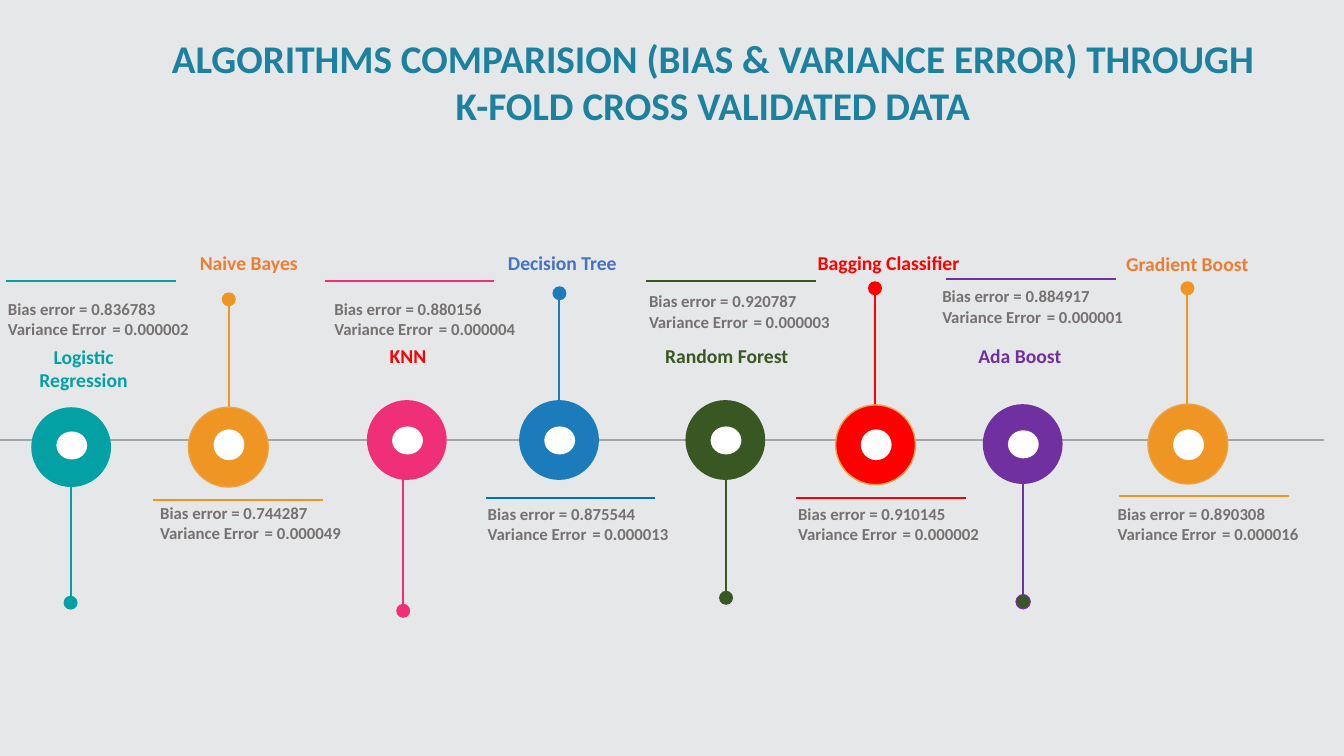
from collections import namedtuple
from itertools import pairwise

from lxml.etree import SubElement
from pptx import Presentation
from pptx.dml.color import RGBColor
from pptx.enum.shapes import MSO_CONNECTOR, MSO_SHAPE
from pptx.enum.text import MSO_AUTO_SIZE, PP_ALIGN
from pptx.oxml.ns import qn
from pptx.util import Pt

BACKGROUND = RGBColor(0xE6, 0xE7, 0xE9)
TITLE = RGBColor(0x1C, 0x81, 0x9E)
AXIS = RGBColor(0xA6, 0xA6, 0xA6)
NOTE = RGBColor(0x76, 0x71, 0x71)
WHITE = RGBColor(0xFF, 0xFF, 0xFF)
TEAL = RGBColor(0x03, 0xA1, 0xA4)
AMBER = RGBColor(0xEE, 0x95, 0x24)
AMBER_EDGE = RGBColor(0xED, 0xA2, 0x44)
ORANGE = RGBColor(0xED, 0x7D, 0x31)
PINK = RGBColor(0xEF, 0x30, 0x78)
RED = RGBColor(0xFF, 0x00, 0x00)
BLUE = RGBColor(0x1C, 0x7C, 0xBB)
LABEL_BLUE = RGBColor(0x44, 0x72, 0xC4)
BAR_BLUE = RGBColor(0x00, 0x70, 0xC0)
GREEN = RGBColor(0x38, 0x57, 0x23)
PURPLE = RGBColor(0x70, 0x30, 0xA0)

AXIS_Y = 314.6
AXIS_STOPS = (0, 120, 296, 471.6, 647.5, 824.4, 945.4)
RING, DOT, HOLE_WIDTH, HOLE_INSET = 57, 10, 22, 18
BAR_WIDTH = 121.2
LONG, SHORT = 101.5, 81.4

Algorithm = namedtuple(
    "Algorithm",
    "name bias variance color label_color bar_color ring_edge dot_color dot_edge "
    "stem_x stem_start stem_end dot_top ring hole_top hole_height label bar note",
)


def algorithm(name, bias, variance, color, stem, dot_top, ring, hole, label, bar, note,
              label_color=None, bar_color=None, ring_edge=None, dot_color=None, dot_edge=None):
    """Describe one algorithm, taking its main colour wherever no other is given."""
    return Algorithm(name, bias, variance, color, label_color or color, bar_color or color,
                     ring_edge, dot_color or color, dot_edge, *stem, dot_top, ring, *hole,
                     label, bar, note)


ALGORITHMS = (
    algorithm("Logistic Regression", "0.836783", "0.000002", TEAL,
              (50.4, 427.7, 427.7 - SHORT), 425.5, (22.3, 290.9), (308.2, 20),
              (0.7, 242.6, 118, 41), (4.3, 200.9), (-1.4, 209.5, 149)),
    algorithm("Naive Bayes", "0.744287", "0.000049", AMBER,
              (163.4, 213.1, 213.1 + SHORT), 208.8, (134.6, 290.9), (306.7, 22),
              (125.3, 175.7, 105, 24.5), (109.4, 357.1), (107.3, 355.7, 150.5),
              label_color=ORANGE, ring_edge=AMBER_EDGE),
    algorithm("KNN", "0.880156", "0.000004", PINK,
              (288, 432.7, 432.7 - LONG), 431.3, (262.1, 285.8), (304.6, 20),
              (239, 241.9, 105, 24.5), (231.8, 200.9), (231.8, 209.5, 149),
              label_color=RED),
    algorithm("Decision Tree", "0.875544", "0.000013", BLUE,
              (399.6, 209.5, 209.5 + LONG), 204.5, (370.8, 285.8), (304.6, 20),
              (349.2, 175.7, 105, 24.5), (347, 355.7), (341.3, 356.4, 154.8),
              label_color=LABEL_BLUE, bar_color=BAR_BLUE),
    algorithm("Random Forest", "0.920787", "0.000003", GREEN,
              (518.6, 424.1, 424.1 - LONG), 422, (489.6, 285.8), (304.6, 20),
              (466.6, 241.9, 105, 24.5), (461.7, 200.9), (456.5, 204.5, 150.5)),
    algorithm("Bagging Classifier", "0.910145", "0.000002", RED,
              (625, 209.5, 209.5 + SHORT), 200.9, (596.9, 289.2), (306.7, 22),
              (567.4, 175.7, 134.6, 24.5), (568.8, 355.7), (563, 356.4, 154.8),
              ring_edge=AMBER_EDGE),
    algorithm("Ada Boost", "0.884917", "0.000001", PURPLE,
              (730.8, 427, 427 - LONG), 424.8, (702, 288.7), (307.4, 20),
              (676, 241.9, 105, 24.5), (676, 199.4), (666, 200.9, 148.3),
              dot_color=GREEN, dot_edge=PURPLE),
    algorithm("Gradient Boost", "0.890308", "0.000016", AMBER,
              (848.2, 209.5, 209.5 + SHORT), 200.9, (820, 288.7), (306.7, 22),
              (795.6, 176.4, 105, 24.5), (799.2, 354.2), (791.3, 356.4, 148.3),
              label_color=ORANGE, ring_edge=AMBER_EDGE),
)


class Timeline:
    """Draw styled lines, circles and text on one slide."""

    font_name = "Calibri"
    line_width = 1.5
    edge_width = 1

    def __init__(self, page):
        self.page = page
        page.background.fill.solid()
        page.background.fill.fore_color.rgb = BACKGROUND

    def line(self, start_x, start_y, end_x, end_y, color):
        connector = self.page.shapes.add_connector(
            MSO_CONNECTOR.STRAIGHT, Pt(start_x), Pt(start_y), Pt(end_x), Pt(end_y))
        connector.line.color.rgb = color
        connector.line.width = Pt(self.line_width)
        SubElement(connector._element.spPr, qn("a:effectLst"))

    def circle(self, left, top, width, height, color, edge=None):
        shape = self.page.shapes.add_shape(
            MSO_SHAPE.OVAL, Pt(left), Pt(top), Pt(width), Pt(height))
        shape.shadow.inherit = False
        shape.fill.solid()
        shape.fill.fore_color.rgb = color
        if edge is None:
            shape.line.fill.background()
        else:
            shape.line.color.rgb = edge
            shape.line.width = Pt(self.edge_width)

    def text(self, place, lines, size, color, align=PP_ALIGN.CENTER, padded=True):
        box = self.page.shapes.add_textbox(*(Pt(length) for length in place))
        frame = box.text_frame
        frame.word_wrap = True
        frame.auto_size = MSO_AUTO_SIZE.SHAPE_TO_FIT_TEXT
        if not padded:
            frame.margin_left = frame.margin_right = Pt(0)
            frame.margin_top = frame.margin_bottom = Pt(0)
        frame.text = "\n".join(lines)
        for paragraph in frame.paragraphs:
            paragraph.alignment = align
            paragraph.font.name = self.font_name
            paragraph.font.size = Pt(size)
            paragraph.font.bold = True
            paragraph.font.color.rgb = color

    def milestone(self, item):
        self.line(item.stem_x, item.stem_start, item.stem_x, item.stem_end, item.color)
        self.circle(item.stem_x - DOT / 2, item.dot_top, DOT, DOT, item.dot_color, item.dot_edge)
        ring_left, ring_top = item.ring
        self.circle(ring_left, ring_top, RING, RING, item.color, item.ring_edge)
        self.circle(ring_left + HOLE_INSET, item.hole_top, HOLE_WIDTH, item.hole_height, WHITE)
        self.text(item.label, [item.name], 14, item.label_color)
        bar_left, bar_y = item.bar
        self.line(bar_left, bar_y, bar_left + BAR_WIDTH, bar_y, item.bar_color)
        errors = [f"Bias error = {item.bias}", f"Variance Error\t = {item.variance}"]
        self.text((*item.note, 36), errors, 12, NOTE, PP_ALIGN.LEFT)


def main():
    """Build the slide and save it."""
    deck = Presentation()
    deck.slide_width, deck.slide_height = Pt(960), Pt(540)
    timeline = Timeline(deck.slides.add_slide(deck.slide_layouts[6]))
    for start, end in pairwise(AXIS_STOPS):
        timeline.line(start, AXIS_Y, end, AXIS_Y, AXIS)
    title = "ALGORITHMS COMPARISION (BIAS & VARIANCE ERROR) THROUGH K-FOLD CROSS VALIDATED DATA"
    timeline.text((113.8, 24.5, 790.6, 67.7), [title], 28, TITLE, padded=False)
    for item in ALGORITHMS:
        timeline.milestone(item)
    deck.save("out.pptx")


if __name__ == "__main__":
    main()
